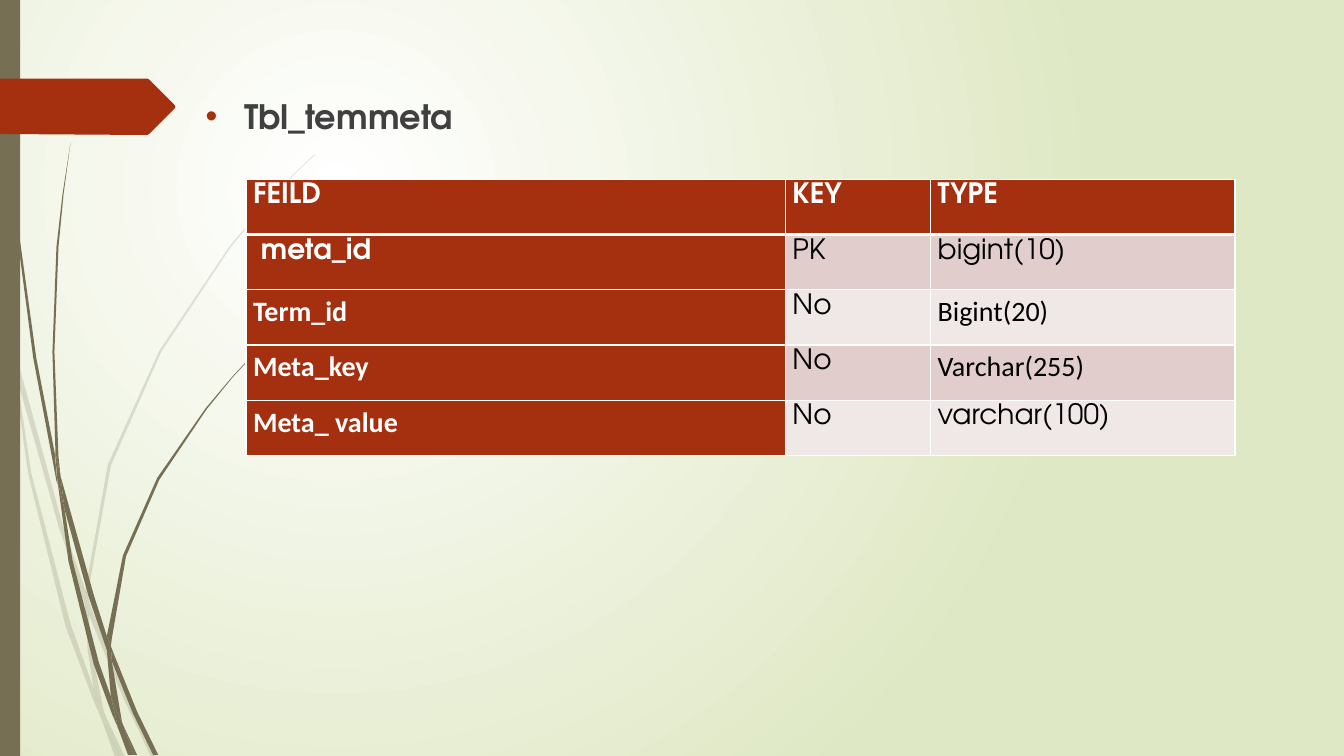
from lxml import etree
from pptx import Presentation
from pptx import util as u
from pptx.dml.color import RGBColor
from pptx.enum import shapes, text
from pptx.oxml import ns

COLORS = {
    "stem": "766F54", "accent": "A53010", "heading": "404040", "white": "FFFFFF",
    "black": "000000", "sage": "DFE8C4", "band_dark": "E1CDCC", "band_light": "F0E8E7",
}
GEOMETRIC, HUMANIST = "TeX Gyre Adventor", "Calibri"

FAINT_STEMS = [
    [(.11, 3.5), (.09, 3.22), (0, 2.82), (0, 2.99), (.1, 3.44)],
    [(.58, 5.22), (.84, 5.99), (.85, 5.86), (.62, 5.2), (.14, 3.45), (.17, 3.76)],
    [(.92, 6.07), (.88, 5.96), (.88, 6.1), (1.23, 6.94), (1.5, 7.51), (1.55, 7.51),
     (1.27, 6.92)],
    [(1.19, 7.51), (1.24, 7.51), (1.05, 7.11)],
    [(.93, 6.83), (.7, 6.19), (.31, 4.69), (.17, 3.76), (.11, 3.5), (.28, 4.7),
     (.65, 6.21), (.92, 6.93), (1.01, 7.14), (.99, 7.07)],
    [(.84, 5.99), (.87, 6.46), (.93, 6.83), (.96, 6.92), (1.05, 7.11), (1.03, 7.06),
     (.91, 6.46), (.88, 6.1), (.88, 6.08)],
    [(.88, 5.84), (1.1, 4.62), (1.6, 3.49), (2.29, 2.45), (2.68, 1.98), (2.9, 1.75),
     (3.12, 1.54), (3.12, 1.53), (2.89, 1.75), (2.68, 1.97), (2.28, 2.44), (1.58, 3.48),
     (1.07, 4.61), (.85, 5.84), (.85, 5.86), (.88, 5.96)],
    [(1.01, 7.14), (1.14, 7.51), (1.19, 7.51)],
    [(.88, 6.08), (.88, 6.1), (.88, 5.96), (.85, 5.86), (.84, 5.99)],
    [(.96, 6.92), (.93, 6.83), (.99, 7.07), (1.01, 7.14), (1.19, 7.51), (1.05, 7.11)],
]
DARK_STEMS = [
    [(.07, 1.1), (.17, 2.33), (.33, 3.55), (.56, 4.77), (.57, 4.81), (.55, 4.57),
     (.55, 4.53), (.36, 3.55), (.19, 2.32), (.08, 1.09), (.05, .48), (.04, 0), (.03, 0),
     (.04, .48)],
    [(.88, 5.92), (1.06, 6.45), (1.06, 6.31), (.93, 5.9), (.6, 4.72), (.64, 5.05)],
    [(1.13, 6.49), (1.1, 6.41), (1.11, 6.56), (1.32, 7.08), (1.52, 7.49), (1.57, 7.49),
     (1.36, 7.06)],
    [(1.1, 6.91), (.98, 6.57), (.72, 5.56), (.64, 5.05), (.57, 4.77), (.68, 5.57),
     (.93, 6.59), (1.11, 7.08), (1.17, 7.22), (1.16, 7.17)],
    [(.6, 4.72), (.58, 4.53), (.54, 3.49), (.58, 2.45), (.63, 1.93), (.7, 1.41),
     (.62, 1.93), (.56, 2.45), (.52, 3.49), (.55, 4.49)],
    [(1.33, 7.49), (1.36, 7.49), (1.22, 7.19)],
    [(.57, 4.77), (.64, 5.05), (.6, 4.72), (.55, 4.49), (.55, 4.53)],
    [(1.11, 6.33), (1.25, 5.52), (1.58, 4.76), (2.05, 4.06), (2.31, 3.74), (2.45, 3.59),
     (2.61, 3.44), (2.6, 3.44), (2.45, 3.58), (2.31, 3.73), (2.04, 4.05), (1.56, 4.74),
     (1.22, 5.51), (1.06, 6.31), (1.1, 6.41)],
    [(1.17, 7.22), (1.27, 7.49), (1.31, 7.49)],
    [(1.06, 6.45), (1.1, 6.91), (1.16, 7.06), (1.22, 7.19), (1.21, 7.16), (1.11, 6.56),
     (1.09, 6.51)],
    [(1.06, 6.45), (1.09, 6.51), (1.11, 6.56), (1.1, 6.41), (1.06, 6.31)],
    [(1.16, 7.06), (1.1, 6.91), (1.16, 7.17), (1.17, 7.22), (1.3, 7.49), (1.33, 7.49),
     (1.22, 7.19)],
]
ARROW_TAG = [(0, .78), (1.46, .78), (1.48, .79), (1.73, 1.04), (1.74, 1.06),
             (1.73, 1.08), (1.48, 1.33), (1.46, 1.34), (0, 1.33)]

COLUMN_WIDTHS = [5.35, 1.44, 3.02]
TABLE_HEIGHT = 2.74
FIELDS = [
    ("FEILD", "KEY", "TYPE"),
    (" meta_id", "PK", "bigint(10)"),
    ("Term_id", "No", "Bigint(20)"),
    ("Meta_key", "No", "Varchar(255)"),
    ("Meta_ value", "No", "varchar(100)"),
]
HUMANIST_CELLS = {"Term_id", "Bigint(20)", "Meta_key", "Varchar(255)", "Meta_ value"}


def rgb(name):
    return RGBColor.from_string(COLORS[name])


def add_xml(parent, tag, **attributes):
    return etree.SubElement(parent, ns.qn(tag), attributes)


def style_font(font, size, face, color, bold):
    font.size, font.name, font.bold = u.Pt(size), face, bold
    font.color.rgb = rgb(color)


def paint_background(page):
    fill = page.background.fill
    fill.gradient()
    for stop, color, position in zip(fill.gradient_stops, ("white", "sage"), (0, 1)):
        stop.color.rgb = rgb(color)
        stop.position = position
    gradient = page.element.find(".//" + ns.qn("a:gradFill"))
    gradient.remove(gradient.find(ns.qn("a:lin")))
    circle = etree.Element(ns.qn("a:path"), {"path": "circle"})
    gradient.find(ns.qn("a:gsLst")).addnext(circle)
    add_xml(circle, "a:fillToRect", l="50000", t="50000", r="100000", b="100000")


def paint_shape(shape, color):
    shape.shadow.inherit = False
    shape.fill.solid()
    shape.fill.fore_color.rgb = rgb(color)
    shape.line.fill.background()


def add_outline(holder, points, color, opacity=100):
    corners = [(u.Inches(x), u.Inches(y)) for x, y in points]
    builder = holder.build_freeform(*corners[0])
    builder.add_line_segments(corners[1:], close=True)
    outline = builder.convert_to_shape()
    paint_shape(outline, color)
    if opacity < 100:
        tint = outline.element.spPr.find(".//" + ns.qn("a:srgbClr"))
        add_xml(tint, "a:alpha", val=str(opacity * 1000))


def add_stems(page, stems, opacity):
    group = page.shapes.add_group_shape()
    for points in stems:
        add_outline(group.shapes, points, "stem", opacity)


def add_side_bar(page):
    bar = page.shapes.add_shape(
        shapes.MSO_SHAPE.RECTANGLE, 0, 0, u.Inches(.2), u.Inches(7.5))
    paint_shape(bar, "stem")


def fill_body(page, heading):
    box = page.placeholders[1]
    box.left, box.top = u.Inches(1.94), u.Inches(.9)
    box.width, box.height = u.Inches(10.64), u.Inches(5.06)
    box.text_frame.auto_size = text.MSO_AUTO_SIZE.NONE
    para = box.text_frame.paragraphs[0]
    para.text = heading
    para.space_before = u.Pt(10)
    style_font(para.font, 24, GEOMETRIC, "heading", True)
    properties = para._p.get_or_add_pPr()
    properties.set("marL", str(u.Inches(.38)))
    properties.set("indent", str(-u.Inches(.38)))
    bullet_color = etree.Element(ns.qn("a:buClr"))
    add_xml(bullet_color, "a:srgbClr", val=COLORS["accent"])
    properties.find(ns.qn("a:spcBef")).addnext(bullet_color)
    bullet = etree.Element(ns.qn("a:buChar"), {"char": "•"})
    bullet_color.addnext(bullet)


def set_borders(cell, row):
    properties = cell._tc.get_or_add_tcPr()
    widths = {"L": 1, "R": 1, "T": 3 if row == 1 else 1, "B": 3 if row == 0 else 1}
    for position, (side, width) in enumerate(widths.items()):
        line = etree.Element(ns.qn("a:ln" + side), {"w": str(u.Pt(width))})
        add_xml(add_xml(line, "a:solidFill"), "a:srgbClr", val=COLORS["white"])
        properties.insert(position, line)


def fill_cell(cell, words, row, column):
    is_label = row == 0 or column == 0
    cell.margin_left = cell.margin_right = u.Inches(.07)
    cell.margin_top = cell.margin_bottom = 0
    cell.fill.solid()
    band = "band_dark" if row % 2 else "band_light"
    cell.fill.fore_color.rgb = rgb("accent" if is_label else band)
    set_borders(cell, row)
    para = cell.text_frame.paragraphs[0]
    para.text = words
    para.line_spacing = 1.15
    face = HUMANIST if words in HUMANIST_CELLS else GEOMETRIC
    style_font(para.font, 20, face, "white" if is_label else "black", is_label)


def add_field_table(page):
    table = page.shapes.add_table(
        len(FIELDS), len(COLUMN_WIDTHS), u.Inches(2.44), u.Inches(1.78),
        u.Inches(sum(COLUMN_WIDTHS)), u.Inches(TABLE_HEIGHT)).table
    for column, width in zip(table.columns, COLUMN_WIDTHS):
        column.width = u.Inches(width)
    for row, entries in enumerate(FIELDS):
        for column, words in enumerate(entries):
            fill_cell(table.cell(row, column), words, row, column)


def main():
    """Build the slide that describes the fields of the term meta table."""
    deck = Presentation()
    deck.slide_width, deck.slide_height = u.Inches(13.33), u.Inches(7.5)
    page = deck.slides.add_slide(deck.slide_layouts[1])
    title = page.shapes.title.element
    title.getparent().remove(title)
    paint_background(page)
    add_stems(page, FAINT_STEMS, 20)
    add_stems(page, DARK_STEMS, 100)
    add_side_bar(page)
    add_outline(page.shapes, ARROW_TAG, "accent")
    fill_body(page, "Tbl_temmeta")
    add_field_table(page)
    deck.save("out.pptx")


if __name__ == "__main__":
    main()
